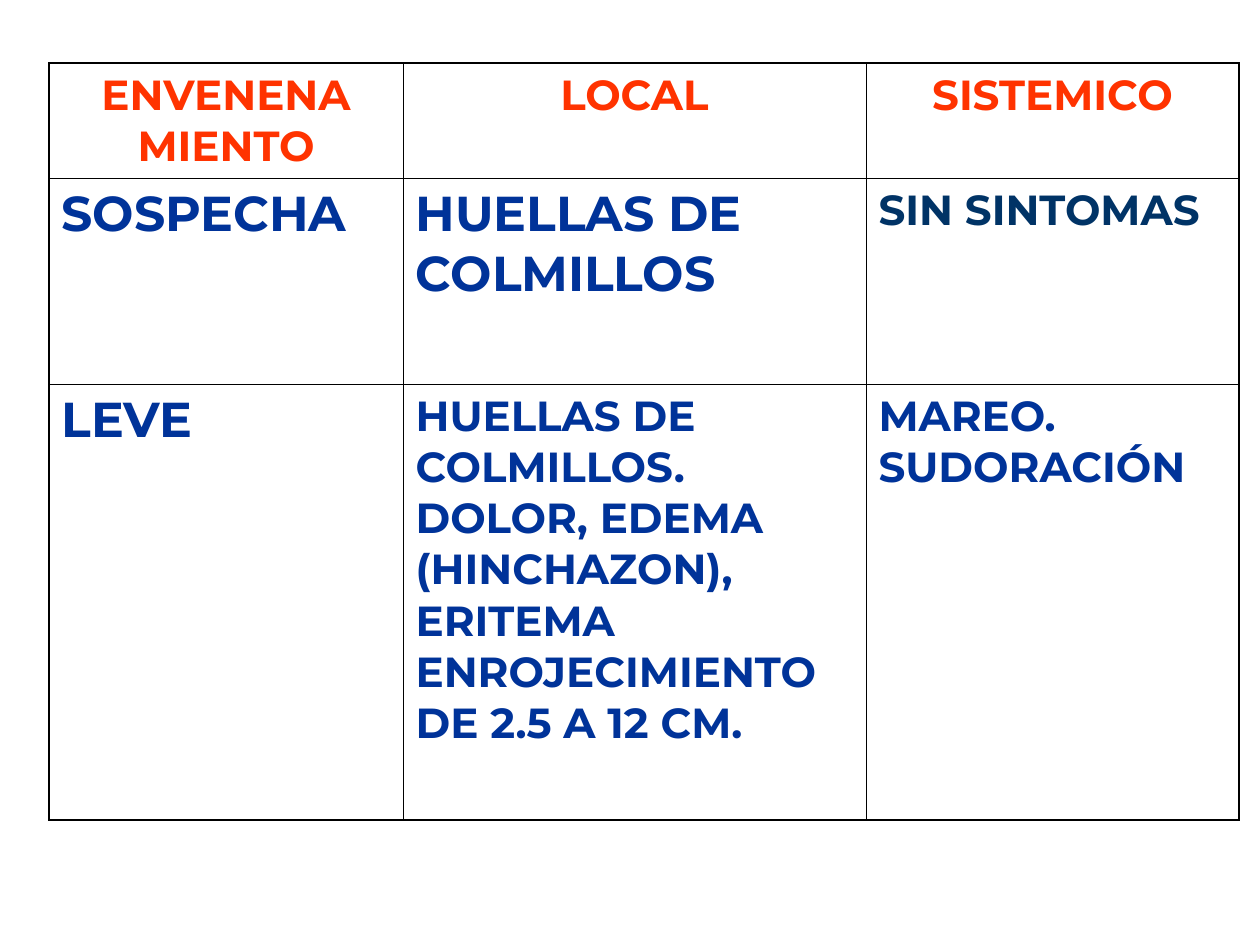
import pptx
import pptx.util
import pptx.dml.color
import pptx.enum.text
import pptx.oxml.ns
import lxml.etree

PX = 914400 // 126
SLIDE_SIZE = (1260, 945)
FONT = "Montserrat"
RED = pptx.dml.color.RGBColor(0xFF, 0x33, 0x00)
BLUE = pptx.dml.color.RGBColor(0x00, 0x33, 0x99)
NAVY = pptx.dml.color.RGBColor(0x00, 0x33, 0x66)
BLACK = pptx.dml.color.RGBColor(0x00, 0x00, 0x00)
OUTER_LINE, INNER_LINE = 1.08, 0.45

TABLE_LEFT, TABLE_TOP = 49, 63
COLUMN_WIDTHS = (354, 463, 373)
ROW_HEIGHTS = (113, 206, 436)

# Each cell: paragraphs, size in points, colour
HEADER = [
    (["ENVENENA", "MIENTO"], 24, RED),
    (["LOCAL"], 24, RED),
    (["SISTEMICO"], 24, RED),
]
DEGREES = [
    [
        (["SOSPECHA"], 28, BLUE),
        (["HUELLAS DE COLMILLOS"], 28, BLUE),
        (["SIN SINTOMAS"], 24, NAVY),
    ],
    [
        (["LEVE"], 28, BLUE),
        (["HUELLAS DE COLMILLOS.\nDOLOR, EDEMA (HINCHAZON), "
          "ERITEMA ENROJECIMIENTO DE 2.5 A 12 CM."], 24, BLUE),
        (["MAREO.\nSUDORACIÓN"], 24, BLUE),
    ],
]


def px(length):
    return pptx.util.Emu(length * PX)


def add_border(cell, side, points):
    qn = pptx.oxml.ns.qn
    properties = cell._tc.get_or_add_tcPr()
    border = lxml.etree.SubElement(properties, qn(f"a:ln{side}"),
                                   w=str(int(pptx.util.Pt(points))))
    fill = lxml.etree.SubElement(border, qn("a:solidFill"))
    lxml.etree.SubElement(fill, qn("a:srgbClr"), val=str(BLACK))


def write_cell(cell, paragraphs, size, color, align):
    frame = cell.text_frame
    for index, text in enumerate(paragraphs):
        paragraph = frame.add_paragraph() if index else frame.paragraphs[0]
        paragraph.alignment = align
        for line_number, line in enumerate(text.split("\n")):
            if line_number:
                paragraph.add_line_break()
            run = paragraph.add_run()
            run.text = line
            run.font.name = FONT
            run.font.size = pptx.util.Pt(size)
            run.font.bold = True
            run.font.color.rgb = color


def add_symptom_table(slide):
    rows = [HEADER] + DEGREES
    last_row, last_column = len(rows) - 1, len(HEADER) - 1
    table = slide.shapes.add_table(
        len(rows), len(HEADER), px(TABLE_LEFT), px(TABLE_TOP),
        px(sum(COLUMN_WIDTHS)), px(sum(ROW_HEIGHTS))).table
    table.first_row = False
    table.horz_banding = False
    for column, width in zip(table.columns, COLUMN_WIDTHS):
        column.width = px(width)
    for row, height in zip(table.rows, ROW_HEIGHTS):
        row.height = px(height)

    for r, row in enumerate(rows):
        align = pptx.enum.text.PP_ALIGN.LEFT if r else pptx.enum.text.PP_ALIGN.CENTER
        for c, (paragraphs, size, color) in enumerate(row):
            cell = table.cell(r, c)
            write_cell(cell, paragraphs, size, color, align)
            # Heavier line on the outside of the grid
            on_edge = {"L": c == 0, "R": c == last_column,
                       "T": r == 0, "B": r == last_row}
            for side, is_outer in on_edge.items():
                add_border(cell, side, OUTER_LINE if is_outer else INNER_LINE)
            cell.fill.background()


def main():
    presentation = pptx.Presentation()
    presentation.slide_width, presentation.slide_height = map(px, SLIDE_SIZE)
    slide = presentation.slides.add_slide(presentation.slide_layouts[6])
    add_symptom_table(slide)
    presentation.save("out.pptx")


if __name__ == "__main__":
    main()
